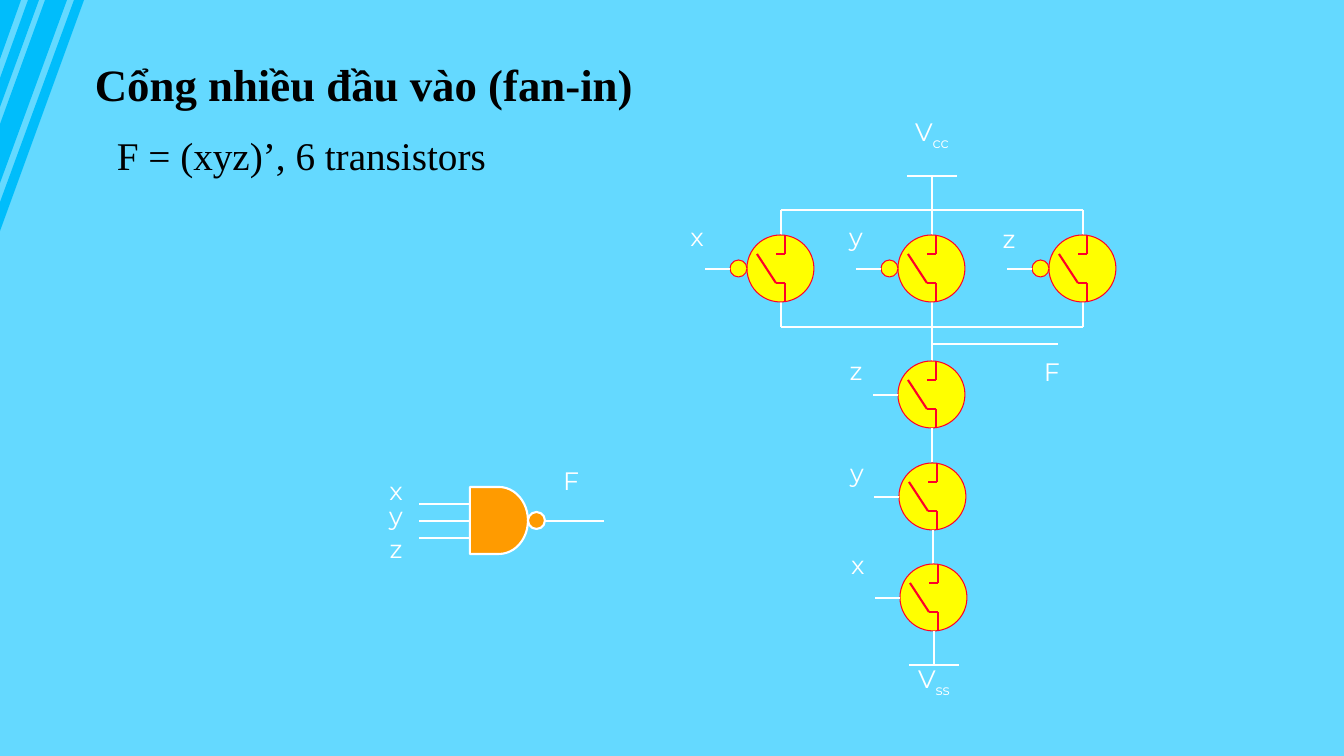
from lxml.etree import SubElement
from pptx import Presentation
from pptx.dml.color import RGBColor
from pptx.enum.shapes import MSO_CONNECTOR, MSO_SHAPE
from pptx.enum.text import MSO_ANCHOR, MSO_AUTO_SIZE, PP_ALIGN
from pptx.oxml.ns import qn
from pptx.util import Emu, Pt

SLIDE_W, SLIDE_H = 1344, 756
SCALE = 12192000 / SLIDE_W
WHITE, BLACK, RED = "FFFFFF", "000000", "FF0028"
YELLOW, ORANGE, SKY, STRIPE = "FFFF00", "FF9B00", "64D9FF", "00BDFB"
SWITCH, BUBBLE, LEAD = 67, 17, 25  # diameters and gate lead length
MID = 34  # centre of a switch


def px(*lengths):
    return [Emu(round(length * SCALE)) for length in lengths]


def rgb(color):
    return RGBColor.from_string(color)


def write(shapes, box, text, sub="", font="Montserrat", size=18, color=WHITE,
          bold=False, align=PP_ALIGN.CENTER, anchor=MSO_ANCHOR.BOTTOM):
    frame = shapes.add_textbox(*px(*box)).text_frame
    frame.word_wrap = False
    frame.auto_size = MSO_AUTO_SIZE.SHAPE_TO_FIT_TEXT
    frame.vertical_anchor = anchor
    line = frame.paragraphs[0]
    line.alignment = align
    for part in filter(None, (text, sub)):
        run = line.add_run()
        run.text = part
        run.font.name, run.font.size, run.font.bold = font, Pt(size), bold
        run.font.color.rgb = rgb(color)
        if part == sub:
            run.font._element.set("baseline", "-25000")


def label(shapes, center, top, text, sub=""):
    width = 62 if sub else 38
    write(shapes, (center - width / 2, top, width, 40), text, sub)


def wire(shapes, x1, y1, x2, y2, color=WHITE):
    link = shapes.add_connector(MSO_CONNECTOR.STRAIGHT, *px(x1, y1, x2, y2))
    link.line.color.rgb = rgb(color)
    link.line.width = Pt(1.5)
    SubElement(link._element.spPr, qn("a:effectLst"))


def solid(shapes, kind, box, fill, line, width):
    body = shapes.add_shape(kind, *px(*box))
    body.shadow.inherit = False
    body.fill.solid()
    body.fill.fore_color.rgb = rgb(fill)
    body.line.color.rgb = rgb(line)
    body.line.width = Pt(width)


def corner_stripes(shapes, x, y):
    bands = [
        [(74, 0), (84, 0), (0, 231), (0, 202)],
        [(39, 0), (0, 107), (0, 78), (28, 0)],
        [(67, 0), (0, 183), (0, 124), (45, 0)],
        [(0, 0), (21, 0), (0, 59)],
    ]
    outline = shapes.build_freeform(*bands[0][0], scale=SCALE)
    for index, band in enumerate(bands):
        if index:
            outline.move_to(*band[0])
        outline.add_line_segments(band[1:], close=True)
    stripes = outline.convert_to_shape(*px(x, y))
    stripes.shadow.inherit = False
    stripes.fill.solid()
    stripes.fill.fore_color.rgb = rgb(STRIPE)
    stripes.line.fill.background()


def transistor(shapes, x, y, inverted=False):
    """Round switch with its gate lead; inverted adds the bubble."""
    switch = shapes.add_group_shape().shapes
    circle = MSO_SHAPE.FLOWCHART_CONNECTOR
    solid(switch, circle, (x, y, SWITCH, SWITCH), YELLOW, RED, 0.75)
    for x1, y1, x2, y2 in [(38, 0, 38, 19), (38, 19, 29, 19), (38, 48, 38, SWITCH),
                           (38, 48, 29, 48), (29, 48, 10, 19)]:
        wire(switch, x + x1, y + y1, x + x2, y + y2, RED)
    gate = x
    if inverted:
        gate = x - BUBBLE
        solid(switch, circle, (gate, y + LEAD, BUBBLE, BUBBLE), YELLOW, RED, 0.75)
    wire(shapes, gate, y + MID, gate - LEAD, y + MID)


def pull_up(shapes, x, y):
    """Three parallel transistors between the supply and the output."""
    step, top_bus, bottom_bus = 151, 34, 151
    center, right = x + step, x + 2 * step
    label(shapes, center, y - 60, "V", "cc")
    wire(shapes, center - LEAD, y, center + LEAD, y)
    wire(shapes, center, y, center, y + top_bus)
    for bus in (top_bus, bottom_bus):
        wire(shapes, x, y + bus, right, y + bus)
    top = y + top_bus + LEAD
    for index, (name, shift, drop) in enumerate([("x", -84, 0), ("y", -76, 0), ("z", -74, 2)]):
        axis = x + index * step
        wire(shapes, axis, y + top_bus, axis, top)
        wire(shapes, axis, top + SWITCH, axis, y + bottom_bus)
        transistor(shapes, axis - MID, top, inverted=True)
        label(shapes, axis + shift, y + 41 + drop, name)


def pull_down(shapes, x, y):
    """Three transistors in series from the output to ground."""
    wire(shapes, x, y, x, y + 34)
    wire(shapes, x, y + 17, x + 126, y + 17)
    label(shapes, x + 120, y + 25, "F")
    for name, shift, top, rise in [("z", 0, 34, 10), ("y", 1, 136, 10), ("x", 2, 237, 19)]:
        axis, end = x + shift, y + top + SWITCH
        transistor(shapes, axis - MID, y + top)
        wire(shapes, axis, end, axis, end + 34)
        label(shapes, axis - 76, y + top - rise, name)
    ground = y + 338
    wire(shapes, axis - LEAD, ground, axis + LEAD, ground)
    label(shapes, axis, ground - 2, "V", "ss")


def nand_gate(shapes, x, y):
    body, width, height = x + 51, 58, 67
    bubble = body + width
    for index, (name, top) in enumerate([("x", -16), ("y", 9), ("z", 42)]):
        level = y + 17 * (index + 1)
        wire(shapes, x, level, body, level)
        label(shapes, x - 23, y + top, name)
    solid(shapes, MSO_SHAPE.FLOWCHART_DELAY, (body, y, width, height), ORANGE, WHITE, 1.5)
    solid(shapes, MSO_SHAPE.FLOWCHART_CONNECTOR, (bubble, y + LEAD, BUBBLE, BUBBLE),
          ORANGE, WHITE, 1.5)
    wire(shapes, bubble + BUBBLE, y + MID, x + 185, y + MID)
    label(shapes, x + 152, y - 26, "F")


def heading(shapes, x, y):
    serif = dict(font="Times New Roman", color=BLACK, align=PP_ALIGN.LEFT)
    write(shapes, (x, y, 562, 65), "Cổng nhiều đầu vào (fan-in)", size=32, bold=True,
          anchor=MSO_ANCHOR.MIDDLE, **serif)
    write(shapes, (x + 22, y + 75, 393, 57), "F = (xyz)’, 6 transistors", size=28,
          anchor=MSO_ANCHOR.TOP, **serif)


def main():
    deck = Presentation()
    deck.slide_width, deck.slide_height = px(SLIDE_W, SLIDE_H)
    slide = deck.slides.add_slide(deck.slide_layouts[6])
    slide.background.fill.solid()
    slide.background.fill.fore_color.rgb = rgb(SKY)
    shapes = slide.shapes
    corner_stripes(shapes, 0, 0)
    heading(shapes, 85, 51)
    nand_gate(shapes, 419, 487)
    pull_up(shapes, 781, 176)
    pull_down(shapes, 932, 327)
    deck.save("out.pptx")


if __name__ == "__main__":
    main()
